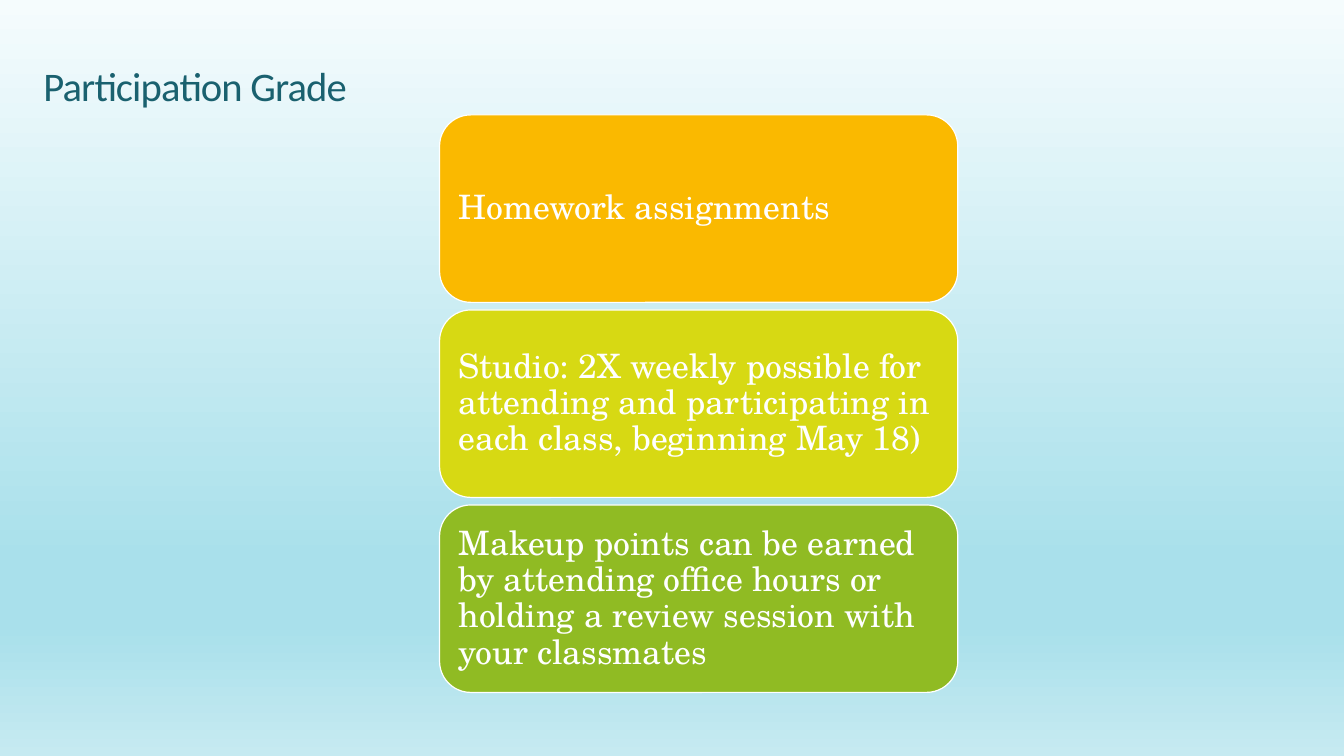
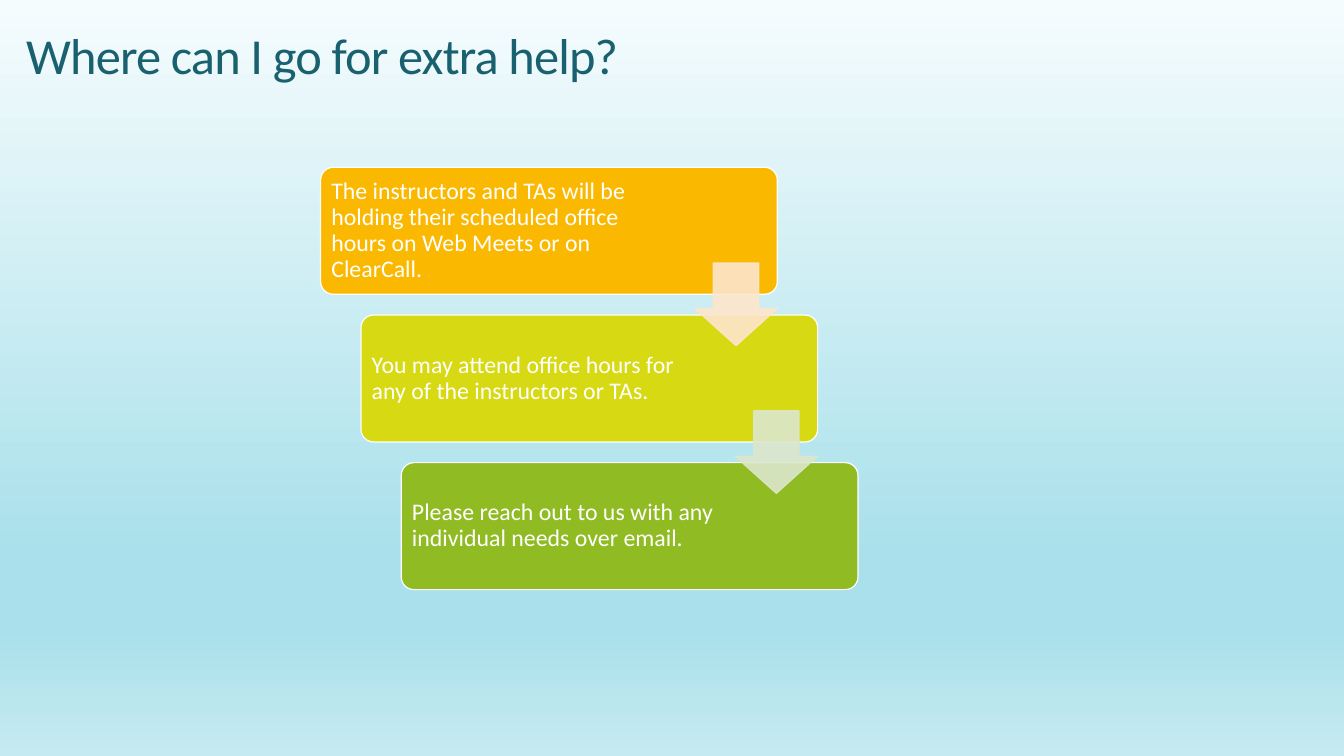
from lxml import etree
from pptx import Presentation
from pptx import util as u
from pptx.dml import color
from pptx.enum import shapes, text
from pptx.oxml import ns

COLOURS = {
    "title": "1A616F",
    "white": "FFFFFF",
    "amber": "FAB900",
    "lime": "D7D913",
    "green": "90BB23",
    "peach": "FDE6CC",
    "sage": "DCE7CD",
}
STEP_COLOURS = ("amber", "lime", "green")
BACKGROUND_STOPS = ((0, "F5FCFD"), (74, "A9E0EB"), (83, "A9E0EB"), (100, "C6EAF1"))
BODY_FONT = "Calibri"
CARD_FONT = "TeX Gyre Schola"


def rgb(name):
    return color.RGBColor.from_string(COLOURS[name])


def write(frame, words, size, font=BODY_FONT, colour="white", tracking=None):
    """Put one left-aligned, vertically centred paragraph in a text frame."""
    frame.word_wrap = True
    frame.auto_size = text.MSO_AUTO_SIZE.NONE
    frame.vertical_anchor = text.MSO_ANCHOR.MIDDLE
    para = frame.paragraphs[0]
    para.alignment = text.PP_ALIGN.LEFT
    para.line_spacing = 0.9
    span = para.add_run()
    span.text = words
    span.font.size = u.Pt(size)
    span.font.name = font
    span.font.color.rgb = rgb(colour)
    if tracking is not None:
        span.font._element.set("spc", str(int(tracking * 100)))


class SlideBuilder:
    """Holds the shared style and the slide being built."""

    def __init__(self):
        self.deck = Presentation()
        self.deck.slide_width = u.Inches(13.33)
        self.deck.slide_height = u.Inches(7.5)
        self.slide = None
        self.paint_background()

    def paint_background(self):
        # Vertical gradient on the master, shared by every slide
        master = self.deck.slide_master
        fill = master.background.fill
        fill.gradient()
        fill.gradient_angle = 270
        stops = next(master.element.iter(ns.qn("a:gsLst")))
        for stop in list(stops):
            stops.remove(stop)
        for percent, value in BACKGROUND_STOPS:
            stop = etree.SubElement(stops, ns.qn("a:gs"), pos=str(percent * 1000))
            etree.SubElement(stop, ns.qn("a:srgbClr"), val=value)

    def start(self, title, left, top, width, height, size):
        self.slide = self.deck.slides.add_slide(self.deck.slide_layouts[5])
        box = self.slide.shapes.title
        box.left, box.top = u.Inches(left), u.Inches(top)
        box.width, box.height = u.Inches(width), u.Inches(height)
        write(box.text_frame, title, size, colour="title", tracking=-0.6)

    def shape(self, kind, left, top, width, height, colour, line, adjust=()):
        shape = self.slide.shapes.add_shape(
            kind, u.Inches(left), u.Inches(top), u.Inches(width), u.Inches(height))
        shape.shadow.inherit = False
        shape.fill.solid()
        shape.fill.fore_color.rgb = rgb(colour)
        shape.line.color.rgb = rgb(line)
        shape.line.width = u.Pt(0.85)
        for index, value in enumerate(adjust):
            shape.adjustments[index] = value
        return shape

    def card(self, words, left, top, width, height, colour, size,
             font=BODY_FONT, inset=0.1, right_inset=0.1, adjust=()):
        card = self.shape(shapes.MSO_SHAPE.ROUNDED_RECTANGLE, left, top, width,
                          height, colour, "white", adjust)
        frame = card.text_frame
        frame.margin_left = frame.margin_top = frame.margin_bottom = u.Inches(inset)
        frame.margin_right = u.Inches(right_inset)
        write(frame, words, size, font)

    def arrow(self, left, top, size, colour):
        arrow = self.shape(shapes.MSO_SHAPE.DOWN_ARROW, left, top, size, size,
                           colour, colour, (0.55, 0.45))
        # Slight transparency on fill and outline
        for paint in arrow._element.spPr.iter(ns.qn("a:srgbClr")):
            etree.SubElement(paint, ns.qn("a:alpha"), val="90000")


def add_participation(builder):
    builder.start("Participation Grade", 0.33, -0.21, 4.54, 2.18, size=29)
    cards = (
        "Homework assignments",
        "Studio: 2X weekly possible for attending and participating in each class, "
        "beginning May 18)",
        "Makeup points can be earned by attending office hours or holding a review "
        "session with your classmates",
    )
    # Stacked cards
    for row, (words, colour) in enumerate(zip(cards, STEP_COLOURS)):
        builder.card(words, 4.36, 1.14 + 1.935 * row, 5.14, 1.86, colour,
                     size=24, font=CARD_FONT)


def add_extra_help(builder):
    builder.start("Where can I go for extra help?", 0.16, 0.22, 7.14, 0.71, size=36)
    steps = (
        "The instructors and TAs will be holding their scheduled office hours on "
        "Web Meets or on ClearCall.",
        "You may attend office hours for any of the instructors or TAs.",
        "Please reach out to us with any individual needs over email.",
    )
    left, top, shift, drop = 3.18, 1.66, 0.4, 1.465
    # Staircase of steps
    for row, (words, colour) in enumerate(zip(steps, STEP_COLOURS)):
        builder.card(words, left + shift * row, top + drop * row, 4.53, 1.26, colour,
                     size=17, inset=0.07, right_inset=1.3, adjust=(0.1,))
    # Arrows over the gaps between steps
    for row, colour in enumerate(("peach", "sage")):
        builder.arrow(6.89 + shift * row, 2.61 + drop * row, 0.82, colour)


def main():
    builder = SlideBuilder()
    add_participation(builder)
    add_extra_help(builder)
    builder.deck.save("out.pptx")


if __name__ == "__main__":
    main()
